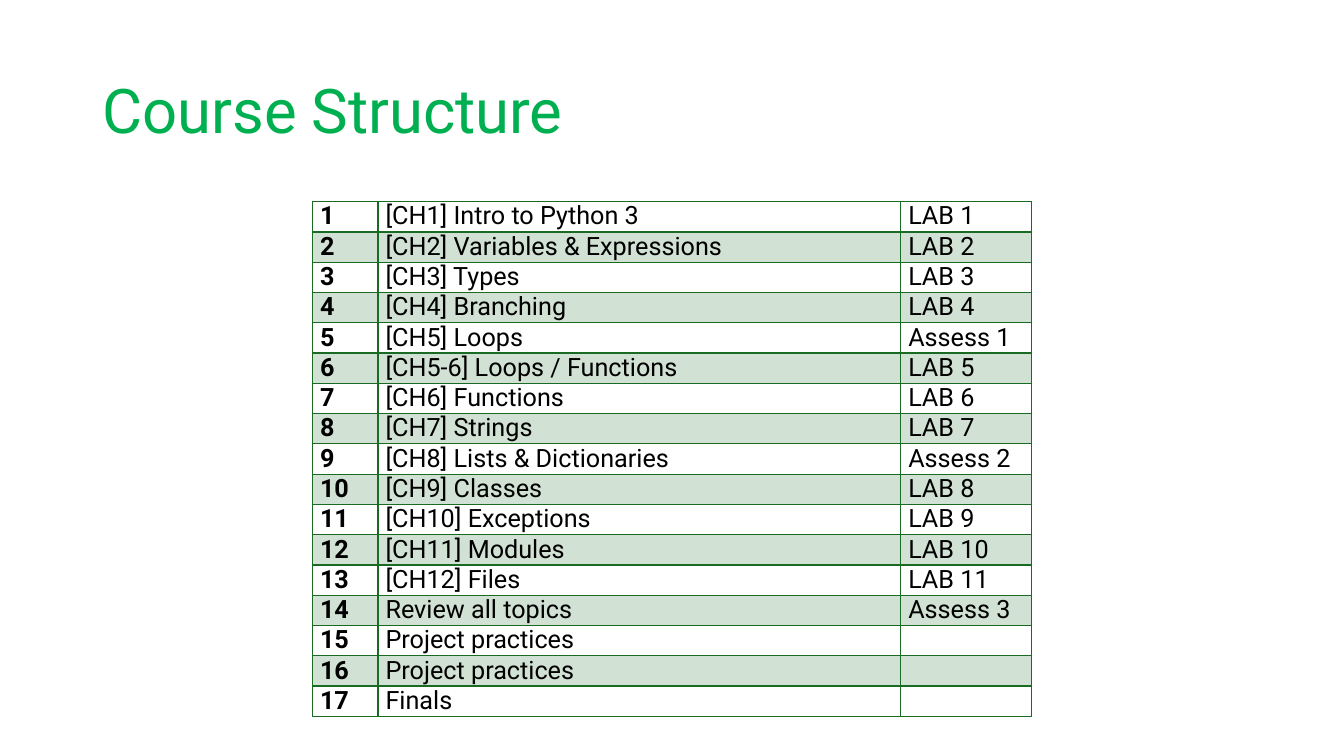
from lxml.etree import SubElement
from pptx import Presentation
from pptx.dml.color import RGBColor
from pptx.enum.text import MSO_ANCHOR
from pptx.oxml.ns import qn
from pptx.util import Pt

FONT = "Roboto"
GREEN = "196B24"
TITLE_GREEN = "00B050"
BLACK = "000000"
COLUMN_WIDTHS = (46.8, 373.4, 93.6)
WEEKS = [
    ("[CH1] Intro to Python 3", "LAB 1"),
    ("[CH2] Variables & Expressions", "LAB 2"),
    ("[CH3] Types", "LAB 3"),
    ("[CH4] Branching", "LAB 4"),
    ("[CH5] Loops", "Assess 1"),
    ("[CH5-6] Loops / Functions", "LAB 5"),
    ("[CH6] Functions", "LAB 6"),
    ("[CH7] Strings", "LAB 7"),
    ("[CH8] Lists & Dictionaries", "Assess 2"),
    ("[CH9] Classes", "LAB 8"),
    ("[CH10] Exceptions", "LAB 9"),
    ("[CH11] Modules", "LAB 10"),
    ("[CH12] Files", "LAB 11"),
    ("Review all topics", "Assess 3"),
    ("Project practices", ""),
    ("Project practices", ""),
    ("Finals", ""),
]


def rgb(color):
    return RGBColor.from_string(color)


def write(p, text, size, color, bold=False):
    p.text = text
    for r in p.runs:
        r.font.name = FONT
        r.font.size = Pt(size)
        r.font.bold = bold
        r.font.color.rgb = rgb(color)
    if not text:
        # An empty cell takes its line height from the end-of-paragraph font.
        end = SubElement(p._p, qn("a:endParaRPr"), sz=str(size * 100))
        SubElement(end, qn("a:latin"), typeface=FONT)


def set_borders(cell, widths):
    """Draw the left, right, top and bottom borders in that order."""
    tcPr = cell._tc.get_or_add_tcPr()
    for i, (side, width) in enumerate(zip("LRTB", widths)):
        ln = SubElement(tcPr, qn(f"a:ln{side}"), w=str(Pt(width)))
        fill = SubElement(ln, qn("a:solidFill"))
        SubElement(fill, qn("a:srgbClr"), val=GREEN)
        tcPr.insert(i, ln)


def set_band(cell, shaded):
    if not shaded:
        cell.fill.background()
        return
    cell.fill.solid()
    cell.fill.fore_color.rgb = rgb(GREEN)
    color = cell._tc.tcPr.find(f"{qn('a:solidFill')}/{qn('a:srgbClr')}")
    SubElement(color, qn("a:alpha"), val="20000")


def add_title(s, text, x, y, w, h):
    tf = s.shapes.add_textbox(Pt(x), Pt(y), Pt(w), Pt(h)).text_frame
    tf.word_wrap = True
    tf.vertical_anchor = MSO_ANCHOR.MIDDLE
    p = tf.paragraphs[0]
    p.line_spacing = 0.9
    write(p, text, 44, TITLE_GREEN)


def add_schedule(s, x, y, w, h):
    shape = s.shapes.add_table(len(WEEKS), len(COLUMN_WIDTHS), Pt(x), Pt(y), Pt(w), Pt(h))
    table = shape.table
    table.first_row = table.horz_banding = False
    for column, width in zip(table.columns, COLUMN_WIDTHS):
        column.width = Pt(width)
    for i, (topic, work) in enumerate(WEEKS):
        table.rows[i].height = Pt(h / len(WEEKS))
        for j, text in enumerate((str(i + 1), topic, work)):
            cell = table.cell(i, j)
            cell.margin_left = cell.margin_right = Pt(5.4)
            cell.margin_top = cell.margin_bottom = 0
            write(cell.text_frame.paragraphs[0], text, 18, BLACK, bold=j == 0)
            set_band(cell, i % 2 == 1)
            set_borders(cell, (1, 1, 2 if i == 1 else 1, 2 if i == 0 else 1))


def main():
    prs = Presentation()
    prs.slide_width, prs.slide_height = Pt(960), Pt(540)
    s = prs.slides.add_slide(prs.slide_layouts[6])
    add_title(s, "Course Structure", 66, 28.75, 828, 104.4)
    add_schedule(s, 223.2, 144, sum(COLUMN_WIDTHS), 360)
    prs.save("out.pptx")


if __name__ == "__main__":
    main()
